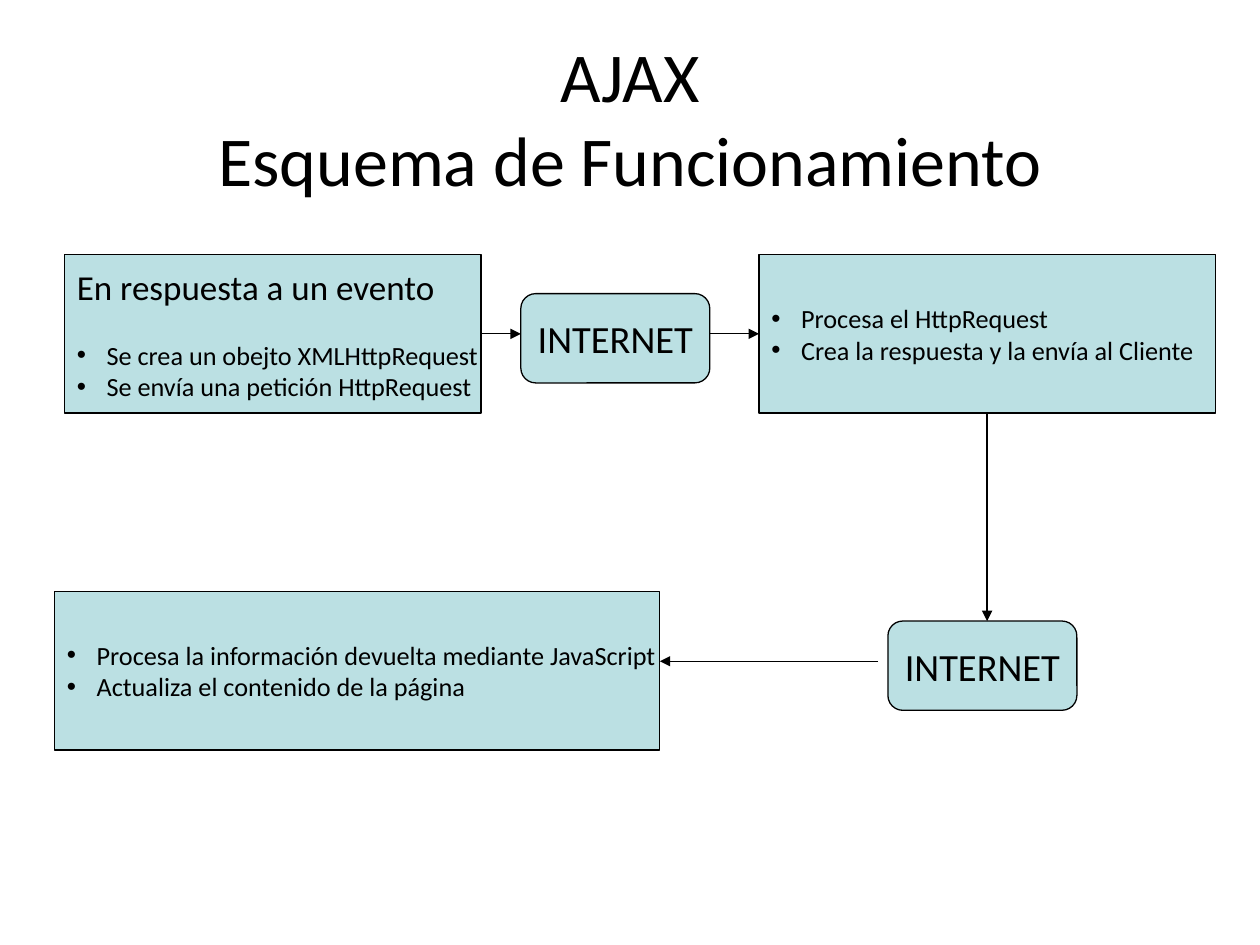
from dataclasses import dataclass

from lxml.etree import SubElement
from pptx import Presentation
from pptx.dml.color import RGBColor
from pptx.enum.shapes import MSO_CONNECTOR, MSO_SHAPE
from pptx.enum.text import MSO_ANCHOR, PP_ALIGN
from pptx.oxml.ns import qn
from pptx.shapes.autoshape import Shape
from pptx.shapes.connector import Connector
from pptx.slide import Slide
from pptx.util import Cm, Pt

BLACK = RGBColor(0x00, 0x00, 0x00)
PALE_TEAL = RGBColor(0xBB, 0xE0, 0xE3)
FONT = "Calibri"
LINE_WIDTH = Pt(0.75)
BULLET_INDENT = Cm(0.6)
STEP_HEIGHT = 3.2
NODE_WIDTH, NODE_HEIGHT = 3.81, 1.8
LEFT_SIDE, RIGHT_SIDE, BOTTOM_SIDE = 1, 3, 2


@dataclass
class Step:
    """A box with an optional heading and bullets; lengths in centimetres."""
    left: float
    top: float
    width: float
    bullets: list[str]
    heading: str = ""


@dataclass
class Arrow:
    """Ends in centimetres; a joined end names a step and one of its sides."""
    start: tuple[float, float]
    end: tuple[float, float]
    start_join: tuple[int, int] | None = None
    end_join: tuple[int, int] | None = None


STEPS = [
    Step(1.3, 5.13, 8.4,
         ["Se crea un obejto XMLHttpRequest", "Se envía una petición HttpRequest"],
         heading="En respuesta a un evento"),
    Step(15.3, 5.13, 9.2,
         ["Procesa el HttpRequest", "Crea la respuesta y la envía al Cliente"]),
    Step(1.1, 11.92, 12.2,
         ["Procesa la información devuelta mediante JavaScript",
          "Actualiza el contenido de la página"]),
]
INTERNET_NODES = [(10.5, 5.92), (17.9, 12.52)]
ARROWS = [
    Arrow((9.7, 6.73), (10.5, 6.73), start_join=(0, RIGHT_SIDE)),
    Arrow((14.31, 6.73), (15.3, 6.73), end_join=(1, LEFT_SIDE)),
    Arrow((19.9, 8.33), (19.9, 12.52), start_join=(1, BOTTOM_SIDE)),
    Arrow((17.7, 13.33), (13.3, 13.33)),
]


def write(para, text: str, *, size: int, align=PP_ALIGN.LEFT,
          bullet: bool = False, space_before: int = 0) -> None:
    para.text = text
    para.alignment = align
    para.space_before = Pt(space_before)
    para.font.name = FONT
    para.font.size = Pt(size)
    para.font.color.rgb = BLACK
    if bullet:
        properties = para._p.get_or_add_pPr()
        properties.set("marL", str(BULLET_INDENT))
        properties.set("indent", str(-BULLET_INDENT))
        SubElement(properties, qn("a:buFont")).set("typeface", "Arial")
        SubElement(properties, qn("a:buChar")).set("char", "•")


def add_box(page: Slide, kind: MSO_SHAPE, left: float, top: float,
            width: float, height: float) -> Shape:
    box = page.shapes.add_shape(kind, Cm(left), Cm(top), Cm(width), Cm(height))
    box.shadow.inherit = False
    box.fill.solid()
    box.fill.fore_color.rgb = PALE_TEAL
    box.line.color.rgb = BLACK
    box.line.width = LINE_WIDTH
    box.text_frame.word_wrap = False
    box.text_frame.vertical_anchor = MSO_ANCHOR.MIDDLE
    return box


def add_step(page: Slide, step: Step) -> Shape:
    box = add_box(page, MSO_SHAPE.RECTANGLE, step.left, step.top, step.width, STEP_HEIGHT)
    frame = box.text_frame
    para = frame.paragraphs[0]
    if step.heading:
        write(para, step.heading, size=20)
        para = frame.add_paragraph()
    for index, bullet in enumerate(step.bullets):
        if index:
            para = frame.add_paragraph()
        gap = 18 if step.heading and index == 0 else 0
        write(para, bullet, size=15, bullet=True, space_before=gap)
    return box


def add_internet_node(page: Slide, left: float, top: float) -> None:
    box = add_box(page, MSO_SHAPE.ROUNDED_RECTANGLE, left, top, NODE_WIDTH, NODE_HEIGHT)
    write(box.text_frame.paragraphs[0], "INTERNET", size=22, align=PP_ALIGN.CENTER)


def add_arrow(page: Slide, arrow: Arrow, boxes: list[Shape]) -> Connector:
    ends = [Cm(length) for length in (*arrow.start, *arrow.end)]
    connector = page.shapes.add_connector(MSO_CONNECTOR.STRAIGHT, *ends)
    if arrow.start_join:
        step, side = arrow.start_join
        connector.begin_connect(boxes[step], side)
    if arrow.end_join:
        step, side = arrow.end_join
        connector.end_connect(boxes[step], side)
    connector.line.color.rgb = BLACK
    connector.line.width = LINE_WIDTH
    SubElement(connector.line._get_or_add_ln(), qn("a:tailEnd")).set("type", "triangle")
    SubElement(connector._element.spPr, qn("a:effectLst"))
    return connector


def add_title(page: Slide, text: str) -> None:
    title = page.shapes.title
    title.left, title.top = Cm(1.27), Cm(0.76)
    title.width, title.height = Cm(22.86), Cm(3.18)
    title.text_frame.word_wrap = True
    title.text_frame.vertical_anchor = MSO_ANCHOR.MIDDLE
    write(title.text_frame.paragraphs[0], text, size=40, align=PP_ALIGN.CENTER)


def main() -> None:
    deck = Presentation()
    deck.slide_width, deck.slide_height = Cm(25.4), Cm(19.05)
    page = deck.slides.add_slide(deck.slide_layouts[5])
    add_title(page, "AJAX\vEsquema de Funcionamiento")
    boxes = [add_step(page, step) for step in STEPS]
    for left, top in INTERNET_NODES:
        add_internet_node(page, left, top)
    for arrow in ARROWS:
        add_arrow(page, arrow, boxes)
    deck.save("out.pptx")


if __name__ == "__main__":
    main()
